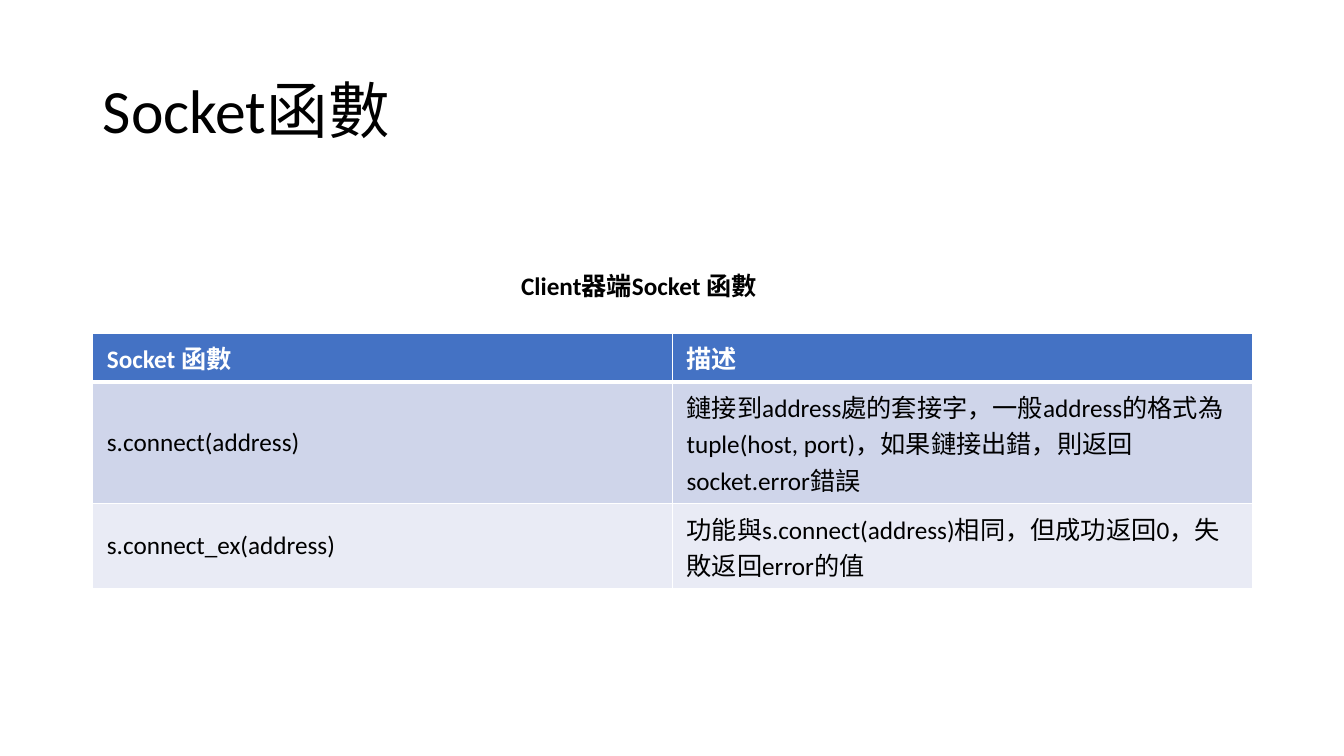
import pptx
import pptx.util
import pptx.dml.color
import pptx.enum.text
import pptx.oxml
import lxml.etree

Inches = pptx.util.Inches
Pt = pptx.util.Pt
MIDDLE = pptx.enum.text.MSO_ANCHOR.MIDDLE


def color(code):
    """Turn a hex string into a colour."""
    return pptx.dml.color.RGBColor.from_string(code)


class Deck:
    """Holds the style and the current slide."""

    face = "Calibri"
    ink = "000000"
    white = "FFFFFF"
    head = "4472C4"
    bands = ("CFD5EA", "E9EBF5")

    def __init__(self, slide):
        """Keep the slide to draw on."""
        self.slide = slide

    def text(self, frame, words, size, code, bold=False):
        """Put one styled paragraph in a text frame."""
        frame.word_wrap = True
        line = frame.paragraphs[0]
        line.text = words
        line.alignment = pptx.enum.text.PP_ALIGN.LEFT
        font = line.font
        font.name, font.size, font.bold = self.face, Pt(size), bold
        font.color.rgb = color(code)
        return line

    def title(self, words, left, top, width, height):
        """Move and fill the title placeholder."""
        box = self.slide.shapes.title
        box.left, box.top = Inches(left), Inches(top)
        box.width, box.height = Inches(width), Inches(height)
        frame = box.text_frame
        frame.auto_size = pptx.enum.text.MSO_AUTO_SIZE.NONE
        frame.vertical_anchor = MIDDLE
        self.text(frame, words, 44, self.ink).line_spacing = 0.9

    def label(self, words, left, top, width, height):
        """Add a bold text box."""
        box = self.slide.shapes.add_textbox(
            Inches(left), Inches(top), Inches(width), Inches(height))
        self.text(box.text_frame, words, 18, self.ink, True)

    def edge(self, cell, side, width):
        """Draw one white border of a cell."""
        props = cell._tc.get_or_add_tcPr()
        name = pptx.oxml.ns.qn("a:ln" + side)
        line = lxml.etree.SubElement(props, name, w=str(Pt(width)))
        fill = lxml.etree.SubElement(line, pptx.oxml.ns.qn("a:solidFill"))
        lxml.etree.SubElement(
            fill, pptx.oxml.ns.qn("a:srgbClr"), val=self.white)

    def table(self, rows, left, top, width, height):
        """Add a banded table with a header row; height is per row."""
        grid = self.slide.shapes.add_table(
            len(rows), len(rows[0]), Inches(left), Inches(top),
            Inches(width), Inches(height * len(rows))).table
        for r, row in enumerate(rows):
            first = r == 0
            fill = self.head if first else self.bands[(r - 1) % 2]
            for c, words in enumerate(row):
                cell = grid.cell(r, c)
                for side in "LRTB":
                    self.edge(cell, side, 3 if first and side == "B" else 1)
                cell.fill.solid()
                cell.fill.fore_color.rgb = color(fill)
                cell.vertical_anchor = MIDDLE
                cell.margin_left = cell.margin_right = Inches(0.14)
                cell.margin_top = cell.margin_bottom = Inches(0.06)
                self.text(cell.text_frame, words, 18,
                          self.white if first else self.ink, first)


show = pptx.Presentation()
show.slide_width, show.slide_height = Inches(13.33), Inches(7.5)
deck = Deck(show.slides.add_slide(show.slide_layouts.get_by_name("Title Only")))
deck.title("Socket函數", 0.92, 0.4, 11.5, 1.45)
deck.table([
    ("Socket 函數", "描述"),
    ("s.connect(address)",
     "鏈接到address處的套接字，一般address的格式為tuple(host, port)"
     "，如果鏈接出錯，則返回socket.error錯誤"),
    ("s.connect_ex(address)",
     "功能與s.connect(address)相同，但成功返回0，失敗返回error的值"),
], 0.92, 3.31, 11.5, 0.41)
deck.label("Client器端Socket 函數", 5.07, 2.63, 4.02, 0.4)
show.save("out.pptx")
